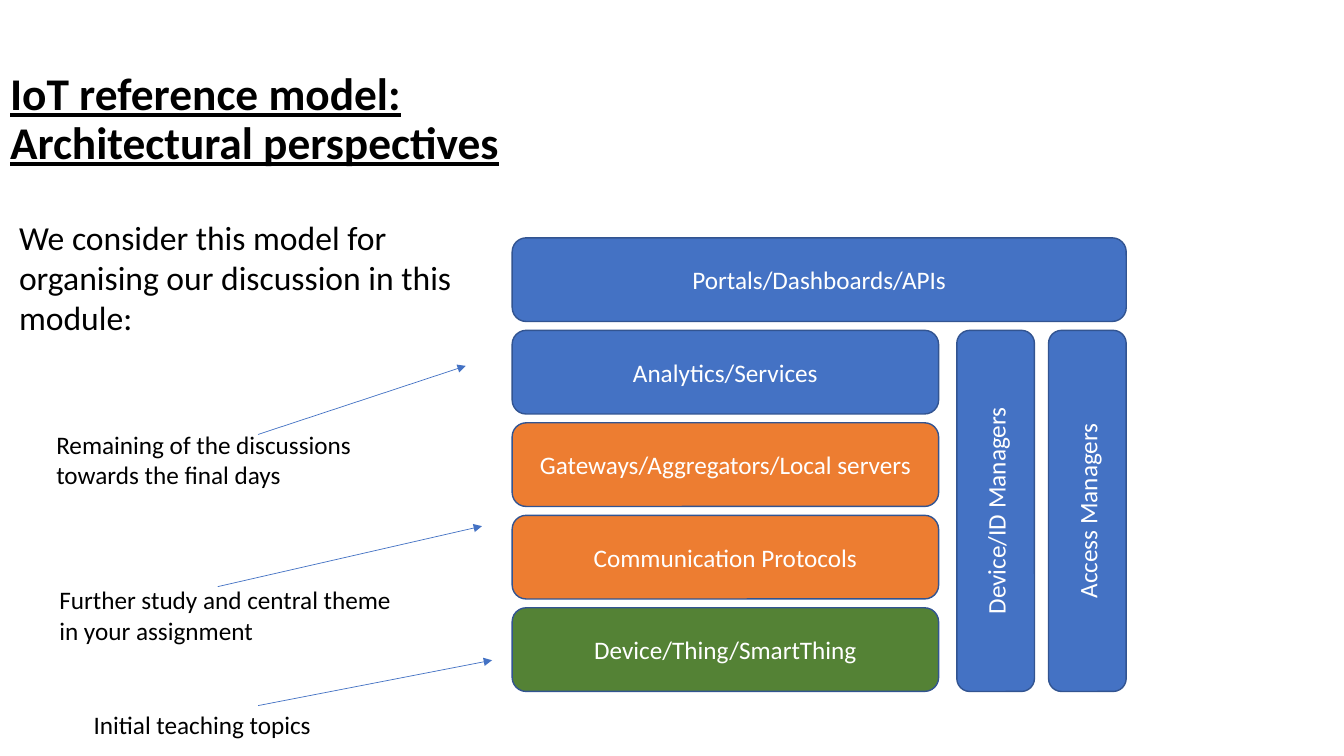
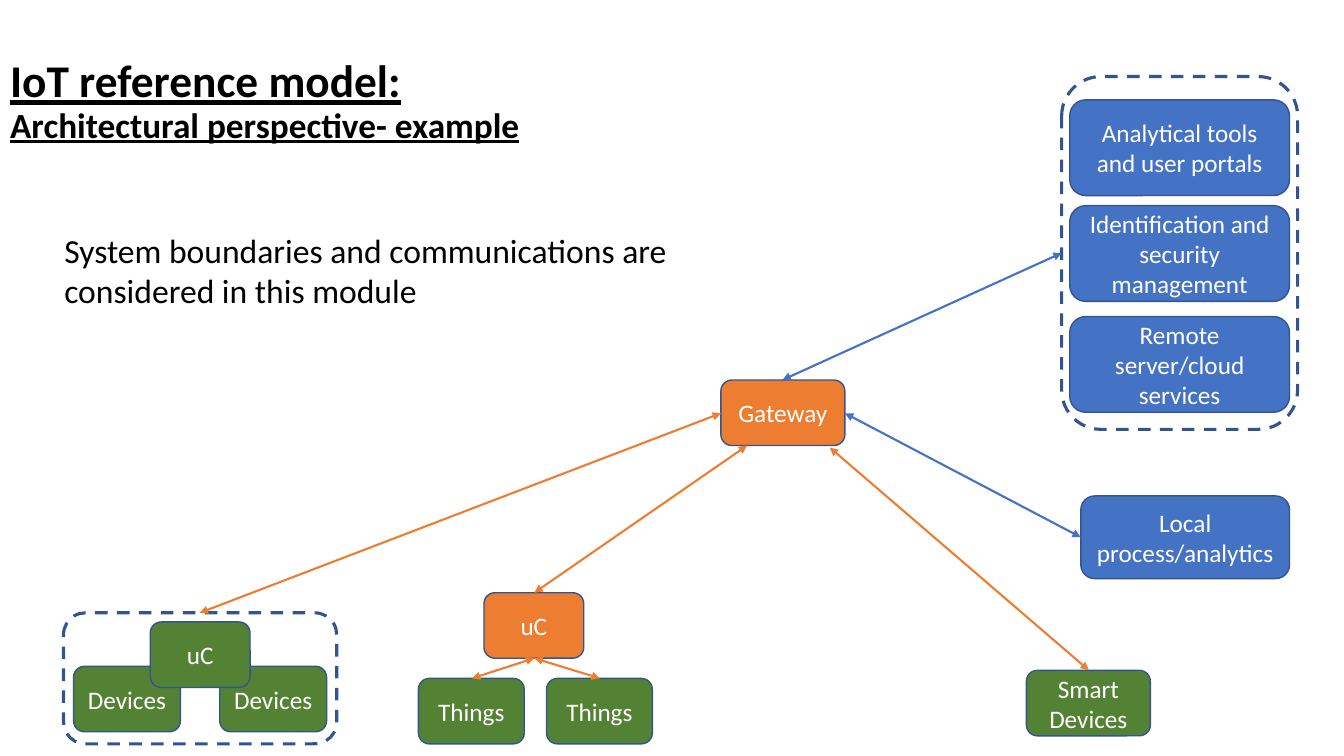
from typing import NamedTuple

from lxml import etree
from pptx import Presentation
from pptx.dml.color import RGBColor
from pptx.enum.dml import MSO_LINE
from pptx.enum.shapes import MSO_CONNECTOR, MSO_SHAPE
from pptx.enum.text import MSO_ANCHOR, MSO_AUTO_SIZE, PP_ALIGN
from pptx.oxml.ns import qn
from pptx.slide import Slide
from pptx.util import Inches, Pt

FONT = "Calibri"
BLACK, WHITE = "000000", "FFFFFF"
BLUE, ORANGE, GREEN, OUTLINE = "4472C4", "ED7D31", "548235", "325491"
TITLE_LAYOUT = 5


class Box(NamedTuple):
    text: str
    left: float
    top: float
    width: float
    height: float
    fill: str
    vertical: bool = False


class Frame(NamedTuple):
    left: float
    top: float
    width: float
    height: float


class Arrow(NamedTuple):
    start: tuple[float, float]
    end: tuple[float, float]
    color: str


class Note(NamedTuple):
    text: str
    left: float
    top: float
    width: float
    height: float
    size: float = 18
    wrap: bool = True


# Slide 1: five stacked layers, with two managers beside the lower four
STACK_LEFT, STACK_RIGHT, STACK_TOP = 5.08, 11.17, 2.36
LAYER_WIDTH, LAYER_HEIGHT = 4.23, 0.83
LAYER_STEP = (6.03 - STACK_TOP) / 4
LAYERS = [
    ("Portals/Dashboards/APIs", BLUE),
    ("Analytics/Services", BLUE),
    ("Gateways/Aggregators/Local servers", ORANGE),
    ("Communication Protocols", ORANGE),
    ("Device/Thing/SmartThing", GREEN),
]
MANAGERS = [("Device/ID Managers", 9.49), ("Access Managers", 10.4)]
MANAGER_WIDTH = 0.77

MODEL_NOTES = [
    Note("We consider this model for organising our discussion in this module:",
         0.09, 2.1, 4.58, 1.31, 24),
    Note("Initial teaching topics", 0.83, 6.99, 2.38, 0.4, wrap=False),
    Note("Further study and central theme in your assignment", 0.49, 5.75, 3.5, 0.71),
    Note("Remaining of the discussions towards the final days", 0.46, 4.21, 3.39, 0.71),
]
MODEL_ARROWS = [
    Arrow((2.56, 7), (4.88, 6.55), BLUE),
    Arrow((2.16, 5.82), (4.78, 5.22), BLUE),
    Arrow((2.56, 4.31), (4.62, 3.63), BLUE),
]

# Slide 2: example system
NODE_HEIGHT = 0.65
EXAMPLE_BOXES = [
    Box("Things", 4.15, 6.73, 1.05, NODE_HEIGHT, GREEN),
    Box("Things", 5.42, 6.73, 1.05, NODE_HEIGHT, GREEN),
    Box("Smart Devices", 10.18, 6.65, 1.23, NODE_HEIGHT, GREEN),
    Box("uC", 4.8, 5.88, 0.99, NODE_HEIGHT, ORANGE),
    Box("Gateway", 7.15, 3.77, 1.23, NODE_HEIGHT, ORANGE),
    Box("Devices", 0.73, 6.61, 1.06, NODE_HEIGHT, GREEN),
    Box("Devices", 2.18, 6.61, 1.06, NODE_HEIGHT, GREEN),
    Box("uC", 1.49, 6.17, 0.99, NODE_HEIGHT, GREEN),
    Box("Local process/analytics", 10.72, 4.92, 2.07, 0.82, BLUE),
    Box("Analytical tools and user portals", 10.61, 0.99, 2.18, 0.95, BLUE),
    Box("Identification and security management", 10.61, 2.04, 2.18, 0.95, BLUE),
    Box("Remote server/cloud services", 10.61, 3.14, 2.18, 0.95, BLUE),
]
EXAMPLE_FRAMES = [Frame(0.63, 6.08, 2.71, 1.3), Frame(10.53, 0.76, 2.34, 3.5)]
EXAMPLE_ARROWS = [
    Arrow((8.38, 4.1), (10.72, 5.33), BLUE),
    Arrow((7.76, 3.77), (10.53, 2.51), BLUE),
    Arrow((5.3, 5.88), (7.41, 4.42), ORANGE),
    Arrow((10.8, 6.65), (8.23, 4.44), ORANGE),
    Arrow((1.98, 6.08), (7.15, 4.1), ORANGE),
    Arrow((5.3, 6.53), (4.68, 6.73), ORANGE),
    Arrow((5.3, 6.53), (5.95, 6.73), ORANGE),
]
EXAMPLE_NOTE = Note("System boundaries and communications are considered in this module",
                    0.54, 2.23, 6.17, 0.91, 24)


def rgb(color: str) -> RGBColor:
    return RGBColor.from_string(color)


def format_font(font, size: float, color: str, heading: bool = False) -> None:
    font.name = FONT
    font.size = Pt(size)
    font.color.rgb = rgb(color)
    font.bold = heading
    font.underline = heading


def add_titled_slide(presentation, lines: list[str], sizes: list[float], top: float) -> Slide:
    """Add a slide whose title holds one run per line, each with its own size."""
    slide = presentation.slides.add_slide(presentation.slide_layouts[TITLE_LAYOUT])
    title = slide.shapes.title
    title.left, title.top = Inches(0), Inches(top)
    title.width, title.height = Inches(11.21), Inches(0.89)
    frame = title.text_frame
    frame.text = "\v".join(lines)
    frame.auto_size = MSO_AUTO_SIZE.NONE
    frame.vertical_anchor = MSO_ANCHOR.MIDDLE
    paragraph = frame.paragraphs[0]
    paragraph.alignment = PP_ALIGN.LEFT
    paragraph.line_spacing = 0.9
    for run, size in zip(paragraph.runs, sizes):
        format_font(run.font, size, BLACK, heading=True)
    return slide


def add_rounded(slide: Slide, place: Box | Frame, line_width: float):
    shape = slide.shapes.add_shape(
        MSO_SHAPE.ROUNDED_RECTANGLE, Inches(place.left), Inches(place.top),
        Inches(place.width), Inches(place.height))
    shape.shadow.inherit = False
    shape.line.color.rgb = rgb(OUTLINE)
    shape.line.width = Pt(line_width)
    return shape


def add_box(slide: Slide, box: Box) -> None:
    shape = add_rounded(slide, box, 1)
    shape.fill.solid()
    shape.fill.fore_color.rgb = rgb(box.fill)
    frame = shape.text_frame
    frame.text = box.text
    frame.word_wrap = True
    frame.vertical_anchor = MSO_ANCHOR.MIDDLE
    if box.vertical:
        frame._txBody.bodyPr.set("vert", "vert270")
    paragraph = frame.paragraphs[0]
    paragraph.alignment = PP_ALIGN.CENTER
    format_font(paragraph.runs[0].font, 18, WHITE)


def add_dashed_frame(slide: Slide, frame: Frame) -> None:
    shape = add_rounded(slide, frame, 2.25)
    shape.fill.background()
    shape.line.dash_style = MSO_LINE.DASH


def add_arrow(slide: Slide, arrow: Arrow, width: float, ends: tuple[str, ...]) -> None:
    """Draw a line with a triangle at each of the named ends, headEnd being the start."""
    connector = slide.shapes.add_connector(
        MSO_CONNECTOR.STRAIGHT, *map(Inches, arrow.start + arrow.end))
    connector.line.color.rgb = rgb(arrow.color)
    connector.line.width = Pt(width)
    line = connector.line._get_or_add_ln()
    for end in ends:
        etree.SubElement(line, qn(f"a:{end}"), type="triangle")
    etree.SubElement(connector._element.spPr, qn("a:effectLst"))


def add_note(slide: Slide, note: Note) -> None:
    shape = slide.shapes.add_textbox(
        Inches(note.left), Inches(note.top), Inches(note.width), Inches(note.height))
    frame = shape.text_frame
    frame.text = note.text
    frame.word_wrap = note.wrap
    frame.auto_size = MSO_AUTO_SIZE.SHAPE_TO_FIT_TEXT
    format_font(frame.paragraphs[0].runs[0].font, note.size, BLACK)


def build_model_slide(presentation) -> None:
    slide = add_titled_slide(
        presentation, ["IoT reference model:", "Architectural perspectives"], [32.4, 32.4], 0.75)
    for row, (text, fill) in enumerate(LAYERS):
        width = STACK_RIGHT - STACK_LEFT if row == 0 else LAYER_WIDTH
        top = STACK_TOP + row * LAYER_STEP
        add_box(slide, Box(text, STACK_LEFT, top, width, LAYER_HEIGHT, fill))
    manager_height = 3 * LAYER_STEP + LAYER_HEIGHT
    for text, left in MANAGERS:
        add_box(slide, Box(text, left, STACK_TOP + LAYER_STEP, MANAGER_WIDTH,
                           manager_height, BLUE, vertical=True))
    for note in MODEL_NOTES:
        add_note(slide, note)
    for arrow in MODEL_ARROWS:
        add_arrow(slide, arrow, 0.5, ("tailEnd",))


def build_example_slide(presentation) -> None:
    slide = add_titled_slide(
        presentation, ["IoT reference model:", "Architectural perspective- example"],
        [32.4, 25.2], 0.57)
    for box in EXAMPLE_BOXES:
        add_box(slide, box)
    for frame in EXAMPLE_FRAMES:
        add_dashed_frame(slide, frame)
    for arrow in EXAMPLE_ARROWS:
        add_arrow(slide, arrow, 1.5, ("headEnd", "tailEnd"))
    add_note(slide, EXAMPLE_NOTE)


def main() -> None:
    presentation = Presentation()
    presentation.slide_width = Inches(13.33)
    presentation.slide_height = Inches(7.5)
    build_model_slide(presentation)
    build_example_slide(presentation)
    presentation.save("out.pptx")


if __name__ == "__main__":
    main()
